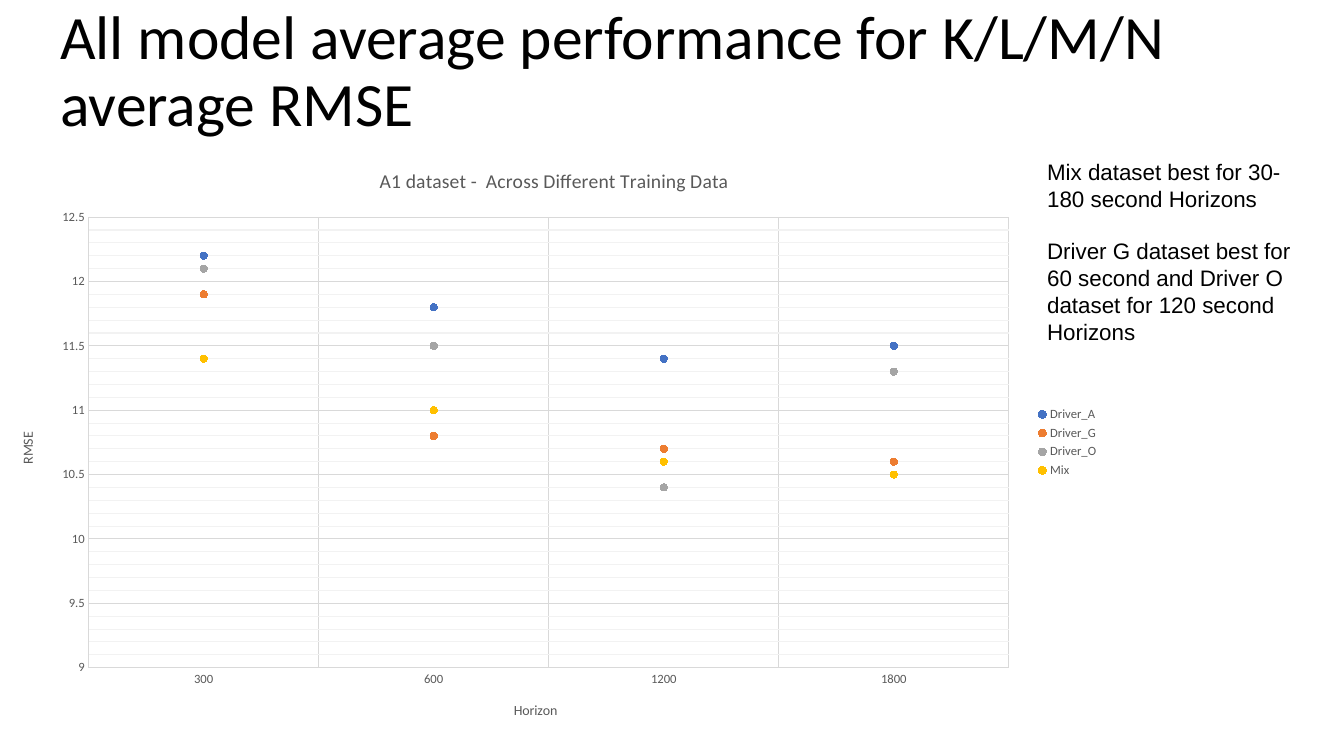
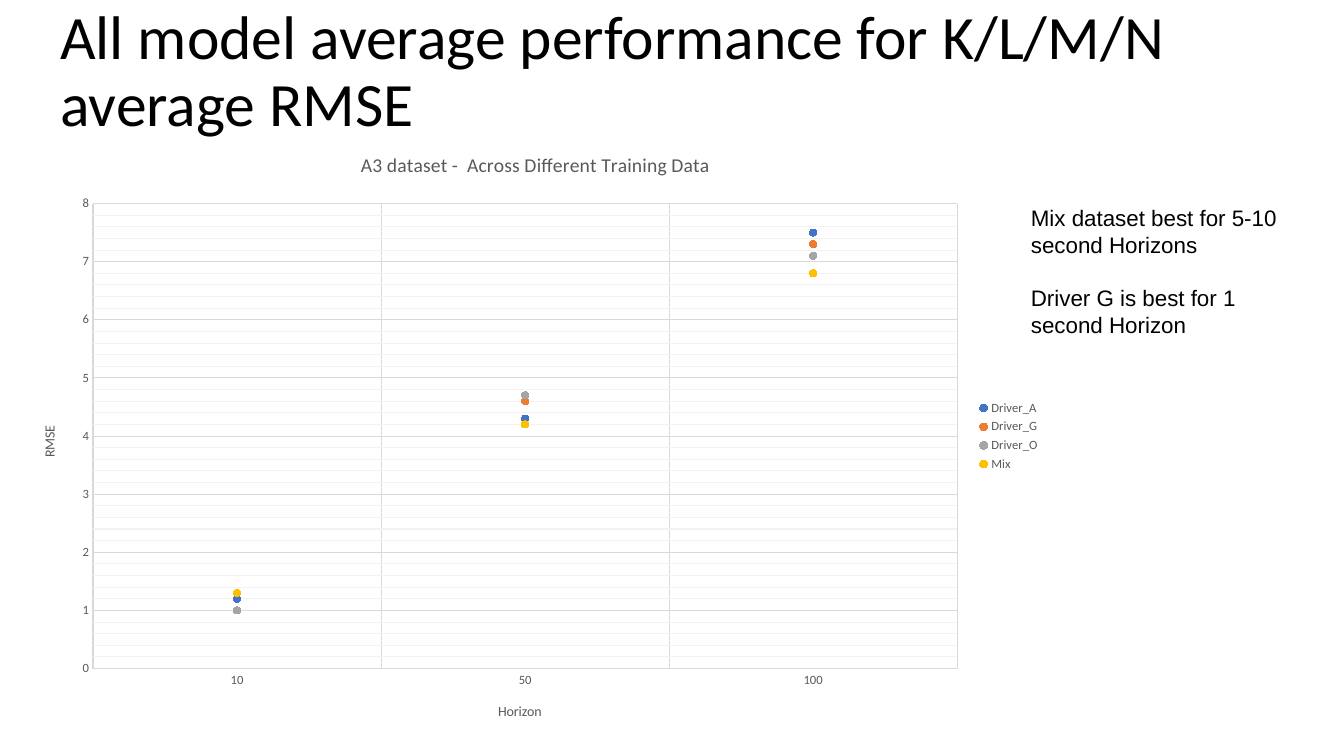
from dataclasses import dataclass

from lxml.etree import SubElement
from pptx import Presentation as Deck
from pptx.chart.data import CategoryChartData as Data
from pptx.dml.color import RGBColor as Rgb
from pptx.enum.chart import XL_CHART_TYPE as Kind
from pptx.enum.chart import XL_LEGEND_POSITION as Side
from pptx.enum.chart import XL_MARKER_STYLE as Mark
from pptx.enum.chart import XL_TICK_MARK as Tick
from pptx.enum.text import MSO_ANCHOR as Anchor
from pptx.enum.text import MSO_AUTO_SIZE as Fit
from pptx.oxml import parse_xml
from pptx.oxml.ns import nsdecls, qn
from pptx.util import Cm, Pt


@dataclass(frozen=True)
class Theme:
    head: str = "Calibri"
    body: str = "Arial"
    ink: str = "000000"
    gray: str = "595959"
    grid: str = "D9D9D9"
    faint: str = "F2F2F2"
    dots: tuple = ("4472C4", "ED7D31", "A5A5A5", "FFC000")
    title: float = 44
    note: float = 16
    gap: float = 18.4
    name: float = 14
    axis: float = 10
    label: float = 9
    line: float = 0.75
    dot: int = 5


THEME = Theme()
HEAD = "All model average performance for K/L/M/N average RMSE"
HEAD_BOX = (1.27, 0, 29.21, 3.68)
NAMES = ("Driver_A", "Driver_G", "Driver_O", "Mix")

PAGES = [
    dict(
        name="A1 dataset -  Across Different Training Data",
        notes=["Mix dataset best for 30-180 second Horizons",
               "Driver G dataset best for 60 second and Driver O "
               "dataset for 120 second Horizons"],
        note_box=(26.14, 3.86, 6.93, 5.05),
        box=(0, 3.68, 27.94, 14.94),
        plot=(0.08, 0.12, 0.83, 0.76),
        span=(9, 12.5, 0.5),
        cats=["300", "600", "1200", "1800"],
        rows=[(12.2, 11.8, 11.4, 11.5), (11.9, 10.8, 10.7, 10.6),
              (12.1, 11.5, 10.4, 11.3), (11.4, 11, 10.6, 10.5)],
    ),
    dict(
        name="A3 dataset -  Across Different Training Data",
        notes=["Mix dataset best for 5-10 second Horizons",
               "Driver G is best for 1 second Horizon"],
        note_box=(25.73, 5.03, 6.93, 3.68),
        box=(0.53, 3.28, 25.93, 15.42),
        plot=(0.07, 0.12, 0.84, 0.76),
        span=(0, 8, 1),
        cats=["10", "50", "100"],
        rows=[(1.2, 4.3, 7.5), (1, 4.6, 7.3),
              (1, 4.7, 7.1), (1.3, 4.2, 6.8)],
    ),
]


def style(font, face, size, tint):
    font.name = face
    font.size = Pt(size)
    font.bold = False
    font.color.rgb = Rgb.from_string(tint)


def stroke(line, tint):
    line.color.rgb = Rgb.from_string(tint)
    line.width = Pt(THEME.line)


def add_text(slide, box, lines, face, size):
    frame = slide.shapes.add_textbox(*map(Cm, box)).text_frame
    frame.word_wrap = True
    frame.text = "\n".join(lines)
    for para in frame.paragraphs:
        for run in para.runs:
            style(run.font, face, size, THEME.ink)
    return frame


def add_head(slide):
    frame = add_text(slide, HEAD_BOX, [HEAD], THEME.head, THEME.title)
    frame.vertical_anchor = Anchor.MIDDLE
    frame.paragraphs[0].line_spacing = 0.9


def add_notes(slide, box, notes):
    frame = add_text(slide, box, notes, THEME.body, THEME.note)
    frame.auto_size = Fit.SHAPE_TO_FIT_TEXT
    for para in frame.paragraphs[1:]:
        para.space_before = Pt(THEME.gap)


def set_title(part, text, size):
    part.has_title = True
    frame = (part.chart_title if hasattr(part, "chart_title")
             else part.axis_title).text_frame
    frame.text = text
    style(frame.paragraphs[0].runs[0].font, THEME.head, size, THEME.gray)
    return frame


def set_axis(axis, text):
    axis.major_tick_mark = axis.minor_tick_mark = Tick.NONE
    axis.has_major_gridlines = True
    stroke(axis.major_gridlines.format.line, THEME.grid)
    style(axis.tick_labels.font, THEME.head, THEME.label, THEME.gray)
    return set_title(axis, text, THEME.axis)


def set_scale(axis, span):
    low, high, step = span
    axis.minimum_scale, axis.maximum_scale = low, high
    axis.major_unit, axis.minor_unit = step, step / 5
    axis.has_minor_gridlines = True
    minor = axis._element.find(qn("c:minorGridlines"))
    minor.append(parse_xml(
        f"<c:spPr {nsdecls('c', 'a')}><a:ln w='{Pt(THEME.line)}'>"
        f"<a:solidFill><a:srgbClr val='{THEME.faint}'/></a:solidFill>"
        "</a:ln></c:spPr>"))
    axis.format.line.fill.background()


def set_plot(chart, plot):
    root = chart.element
    area = root.find(".//" + qn("c:plotArea"))
    for old in area.findall(qn("c:layout")):
        area.remove(old)
    layout = parse_xml(f"<c:layout {nsdecls('c')}/>")
    area.insert(0, layout)
    inner = SubElement(layout, qn("c:manualLayout"))
    pairs = [("layoutTarget", "inner"), ("xMode", "edge"), ("yMode", "edge")]
    for tag, val in pairs + list(zip("xywh", plot)):
        SubElement(inner, qn("c:" + tag)).set("val", str(val))
    clear = parse_xml(f"<c:spPr {nsdecls('c', 'a')}><a:noFill/>"
                      "<a:ln><a:noFill/></a:ln></c:spPr>")
    root.find(qn("c:chart")).addnext(clear)


def add_chart(slide, box, name, plot, span, cats, rows):
    data = Data()
    data.categories = cats
    for key, row in zip(NAMES, rows):
        data.add_series(key, row)
    chart = slide.shapes.add_chart(
        Kind.LINE_MARKERS, *map(Cm, box), data).chart
    style(chart.font, THEME.head, THEME.axis, THEME.ink)
    set_title(chart, name, THEME.name)
    set_axis(chart.category_axis, "Horizon")
    stroke(chart.category_axis.format.line, THEME.grid)
    side = set_axis(chart.value_axis, "RMSE")
    turn = side._txBody.find(qn("a:bodyPr"))
    turn.set("rot", "-5400000")
    turn.set("vert", "horz")
    set_scale(chart.value_axis, span)
    chart.has_legend = True
    chart.legend.position = Side.RIGHT
    chart.legend.include_in_layout = False
    style(chart.legend.font, THEME.head, THEME.label, THEME.gray)
    chart.plots[0].vary_by_categories = False
    for line, tint in zip(chart.plots[0].series, THEME.dots):
        line.smooth = False
        line.format.line.fill.background()
        line.marker.style = Mark.CIRCLE
        line.marker.size = THEME.dot
        look = line.marker.format
        look.fill.solid()
        look.fill.fore_color.rgb = Rgb.from_string(tint)
        stroke(look.line, tint)
    set_plot(chart, plot)


def add_page(deck, notes, note_box, **graph):
    slide = deck.slides.add_slide(deck.slide_layouts[6])
    add_head(slide)
    add_notes(slide, note_box, notes)
    add_chart(slide, **graph)


def main():
    deck = Deck()
    deck.slide_width, deck.slide_height = Cm(33.87), Cm(19.05)
    for page in PAGES:
        add_page(deck, **page)
    deck.save("out.pptx")


if __name__ == "__main__":
    main()
